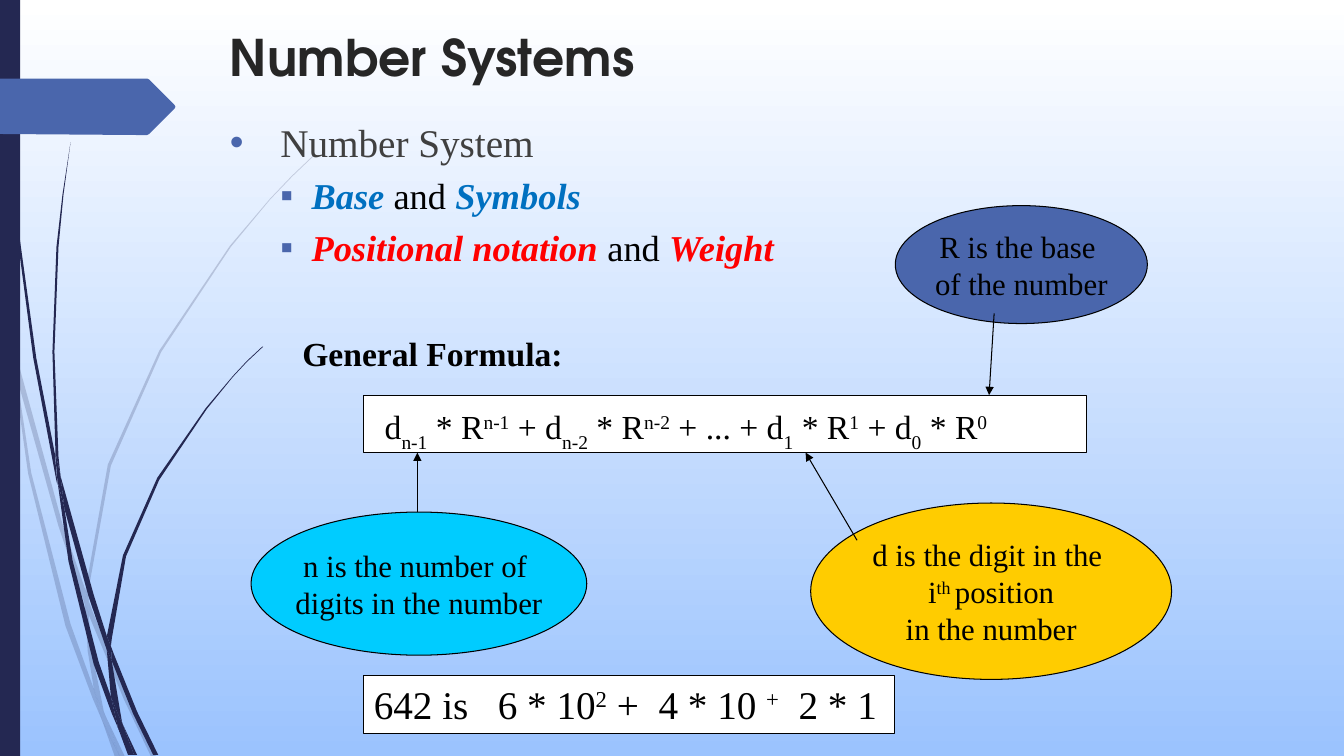
from dataclasses import dataclass
from typing import NamedTuple

from lxml.etree import SubElement as Sub
from pptx import Presentation as Deck
from pptx.dml.color import RGBColor as Rgb
from pptx.enum.shapes import MSO_CONNECTOR as Link, MSO_SHAPE as Kind
from pptx.enum.text import MSO_ANCHOR as Anchor, MSO_AUTO_SIZE as Fit, PP_ALIGN as Align
from pptx.oxml.ns import qn
from pptx.util import Inches, Pt


@dataclass(frozen=True)
class Theme:
    navy: str = "242852"
    blue: str = "4A66AC"
    sky: str = "9BC3FE"
    white: str = "FFFFFF"
    black: str = "000000"
    dark: str = "262626"
    gray: str = "404040"
    azure: str = "0070C0"
    red: str = "FF0000"
    cyan: str = "00CCFF"
    gold: str = "FFCC00"
    serif: str = "Times New Roman"
    sans: str = "TeX Gyre Adventor"
    plain: str = "Arial"
    head: int = 36
    large: int = 28
    mid: int = 26
    base: int = 24
    small: int = 22
    line: float = 0.75


class Bit(NamedTuple):
    text: str
    shift: int = 0
    color: str = ""
    font: str = ""
    size: int = 0


class Box(NamedTuple):
    kind: Kind
    area: tuple
    fill: str
    size: int
    rows: list


class Point(NamedTuple):
    mark: str
    level: int
    left: float
    hang: float
    gap: int
    size: int
    color: str
    bits: list


class Arrow(NamedTuple):
    start: tuple
    end: tuple


T = Theme()
UP, DOWN = 30, -30

PALE = [
    [(.11, 3.5), (.09, 3.22), (0, 2.82), (0, 2.99), (.1, 3.44)],
    [(.58, 5.22), (.84, 5.99), (.85, 5.86), (.62, 5.2), (.14, 3.45), (.17, 3.76)],
    [(.92, 6.07), (.88, 5.96), (.88, 6.1), (1.23, 6.94), (1.5, 7.51), (1.55, 7.51), (1.27, 6.92)],
    [(1.19, 7.51), (1.24, 7.51), (1.05, 7.11)],
    [(.93, 6.83), (.7, 6.19), (.31, 4.69), (.17, 3.76), (.11, 3.5), (.28, 4.7), (.65, 6.21),
     (.92, 6.93), (1.01, 7.14), (.99, 7.07)],
    [(.84, 5.99), (.87, 6.46), (.93, 6.83), (.96, 6.92), (1.05, 7.11), (1.03, 7.06), (.91, 6.46),
     (.88, 6.1), (.88, 6.08)],
    [(.88, 5.84), (1.1, 4.62), (1.6, 3.49), (2.29, 2.45), (2.68, 1.98), (2.9, 1.75), (3.12, 1.54),
     (3.12, 1.53), (2.89, 1.75), (2.68, 1.97), (2.28, 2.44), (1.58, 3.48), (1.07, 4.61),
     (.85, 5.84), (.85, 5.86), (.88, 5.96)],
    [(1.01, 7.14), (1.14, 7.51), (1.19, 7.51)],
    [(.88, 6.08), (.88, 6.1), (.88, 5.96), (.85, 5.86), (.84, 5.99)],
    [(.96, 6.92), (.93, 6.83), (.99, 7.07), (1.01, 7.14), (1.19, 7.51), (1.05, 7.11)],
]
DEEP = [
    [(.07, 1.1), (.17, 2.33), (.33, 3.55), (.56, 4.77), (.57, 4.81), (.55, 4.57), (.55, 4.53),
     (.36, 3.55), (.19, 2.32), (.08, 1.09), (.05, .48), (.04, 0), (.03, 0), (.04, .48)],
    [(.88, 5.92), (1.06, 6.45), (1.06, 6.33), (1.06, 6.31), (.93, 5.9), (.6, 4.72), (.64, 5.05)],
    [(1.13, 6.49), (1.1, 6.41), (1.11, 6.56), (1.32, 7.08), (1.52, 7.49), (1.57, 7.49), (1.36, 7.06)],
    [(1.1, 6.91), (.98, 6.57), (.72, 5.56), (.64, 5.05), (.57, 4.77), (.68, 5.57), (.93, 6.59),
     (1.11, 7.08), (1.17, 7.22), (1.16, 7.17)],
    [(.6, 4.72), (.58, 4.53), (.54, 3.49), (.58, 2.45), (.63, 1.93), (.7, 1.41), (.62, 1.93),
     (.56, 2.45), (.52, 3.49), (.55, 4.49)],
    [(1.33, 7.49), (1.36, 7.49), (1.22, 7.19)],
    [(.57, 4.77), (.64, 5.05), (.6, 4.72), (.55, 4.49), (.55, 4.53)],
    [(1.11, 6.33), (1.25, 5.52), (1.58, 4.76), (2.05, 4.06), (2.31, 3.74), (2.45, 3.59),
     (2.61, 3.44), (2.6, 3.44), (2.45, 3.58), (2.31, 3.73), (2.04, 4.05), (1.56, 4.74),
     (1.22, 5.51), (1.06, 6.31), (1.1, 6.41)],
    [(1.17, 7.22), (1.27, 7.49), (1.31, 7.49)],
    [(1.06, 6.45), (1.1, 6.91), (1.16, 7.06), (1.22, 7.19), (1.21, 7.16), (1.11, 6.56), (1.09, 6.51)],
    [(1.06, 6.45), (1.09, 6.51), (1.11, 6.56), (1.1, 6.41), (1.06, 6.31), (1.06, 6.33)],
    [(1.16, 7.06), (1.1, 6.91), (1.16, 7.17), (1.17, 7.22), (1.3, 7.49), (1.33, 7.49), (1.22, 7.19)],
]
FLAG = [(1.73, 1.08), (1.48, 1.33), (1.46, 1.34), (1.36, 1.34), (0, 1.33), (0, .78), (1.36, .78),
        (1.46, .78), (1.48, .79), (1.73, 1.04), (1.74, 1.06)]

POINTS = [
    Point("•", 0, .5, -.5, 10, T.large, T.gray, [Bit("Number System")]),
    Point("▪", 1, .81, -.31, 6, T.mid, T.black,
          [Bit("Base", color=T.azure), Bit(" and "), Bit("Symbols", color=T.azure)]),
    Point("▪", 1, .81, -.31, 6, T.mid, T.black,
          [Bit("Positional notation ", color=T.red), Bit("and "), Bit("Weight", color=T.red)]),
]


def term(lead: str, power: str) -> list:
    return [Bit(lead + "d"), Bit(power, DOWN), Bit(" * R"), Bit(power, UP)]


FORM = [Bit(" ", font=T.plain, size=T.large), *term("", "n-1"), *term(" + ", "n-2"),
        *term(" + ... + ", "1"), *term(" + ", "0")]
SUM = [Bit("642 is   6 * 10"), Bit("2", UP), Bit(" +  4 * 10 "), Bit("+", UP), Bit("  2 * 1")]
BOXES = [
    Box(Kind.RECTANGLE, (3.61, 3.92, 7.17, .57), T.white, T.base, [FORM]),
    Box(Kind.RECTANGLE, (3.61, 6.7, 5.26, .58), T.white, T.large, [SUM]),
    Box(Kind.OVAL, (8.88, 2.04, 2.5, 1.17), T.blue, T.small,
        [[Bit("R is the base ")], [Bit("of the number")]]),
    Box(Kind.OVAL, (2.49, 5.08, 3.33, 1.42), T.cyan, T.small,
        [[Bit("n is the number of ")], [Bit("digits in the number")]]),
    Box(Kind.OVAL, (8.04, 4.99, 3.58, 1.75), T.gold, T.small,
        [[Bit("d is the digit in the ")], [Bit(" i"), Bit("th ", UP), Bit("position ")],
         [Bit("in the number")]]),
]
ARROWS = [Arrow((4.14, 5.08), (4.14, 4.49)), Arrow((8.5, 5.36), (7.99, 4.49)),
          Arrow((9.86, 3.11), (9.81, 3.92))]


def style(font, face: str, size: int, color: str) -> None:
    font.name, font.size, font.color.rgb = face, Pt(size), Rgb.from_string(color)


def write(para, bits: list, size: int, color: str = T.black) -> None:
    style(para.font, T.serif, size, color)
    for bit in bits:
        run = para.add_run()
        run.text = bit.text
        if bit.shift:
            run._r.get_or_add_rPr().set("baseline", str(bit.shift * 1000))
        if bit.color:
            run.font.color.rgb = Rgb.from_string(bit.color)
            run.font.bold = run.font.italic = True
        if bit.font:
            run.font.name, run.font.size = bit.font, Pt(bit.size)


def paint(shape, color: str, alpha: int = 100) -> None:
    shape.shadow.inherit = False
    shape.fill.solid()
    shape.fill.fore_color.rgb = Rgb.from_string(color)
    shape.line.fill.background()
    if alpha < 100:
        tint = shape.element.spPr.find(".//" + qn("a:srgbClr"))
        Sub(tint, qn("a:alpha"), val=str(alpha * 1000))


def trace(shapes, dots: list, color: str, alpha: int = 100) -> None:
    first, *rest = [(Inches(x), Inches(y)) for x, y in dots]
    pen = shapes.build_freeform(*first)
    pen.add_line_segments(rest, close=True)
    paint(pen.convert_to_shape(), color, alpha)


def place(shape, area: tuple) -> None:
    shape.left, shape.top, shape.width, shape.height = map(Inches, area)
    shape.element.getparent().append(shape.element)


def list_point(para, item: Point) -> None:
    props = para._p.get_or_add_pPr()
    props.set("marL", str(Inches(item.left)))
    props.set("indent", str(Inches(item.hang)))
    Sub(Sub(props, qn("a:buClr")), qn("a:srgbClr"), val=T.blue)
    Sub(props, qn("a:buFont"), typeface=T.plain)
    Sub(props, qn("a:buChar"), char=item.mark)
    para.level, para.space_before = item.level, Pt(item.gap)
    write(para, item.bits, item.size, item.color)


def draw_box(shapes, box: Box) -> None:
    shape = shapes.add_shape(box.kind, *map(Inches, box.area))
    paint(shape, box.fill)
    shape.line.color.rgb, shape.line.width = Rgb.from_string(T.black), Pt(T.line)
    oval, frame = box.kind == Kind.OVAL, shape.text_frame
    frame.word_wrap = not oval
    frame.auto_size = Fit.NONE if oval else Fit.SHAPE_TO_FIT_TEXT
    frame.vertical_anchor = Anchor.MIDDLE if oval else Anchor.TOP
    for i, bits in enumerate(box.rows):
        para = frame.add_paragraph() if i else frame.paragraphs[0]
        para.alignment = Align.CENTER if oval else Align.LEFT
        write(para, bits, box.size)


def draw_arrow(shapes, arrow: Arrow) -> None:
    link = shapes.add_connector(Link.STRAIGHT, *map(Inches, arrow.start + arrow.end))
    link.line.color.rgb, link.line.width = Rgb.from_string(T.black), Pt(T.line)
    props = link.element.spPr
    Sub(props.find(qn("a:ln")), qn("a:tailEnd"), type="triangle")
    Sub(props, qn("a:effectLst"))


def main() -> None:
    deck = Deck()
    deck.slide_width, deck.slide_height = Inches(13.33), Inches(7.5)
    slide = deck.slides.add_slide(deck.slide_layouts[1])
    shapes, back = slide.shapes, slide.background.fill
    back.gradient()
    back.gradient_angle = 270
    for stop, color in zip(back.gradient_stops, (T.white, T.sky)):
        stop.color.rgb = Rgb.from_string(color)
    for dots in PALE:
        trace(shapes, dots, T.navy, 20)
    for dots in DEEP:
        trace(shapes, dots, T.navy)
    paint(shapes.add_shape(Kind.RECTANGLE, 0, 0, Inches(.2), Inches(7.5)), T.navy)
    trace(shapes, FLAG, T.blue)

    title, body = shapes.title, slide.placeholders[1]
    place(title, (2.18, 0, 9.75, 1.12))
    title.text_frame.text = "Number Systems"
    title.text_frame.vertical_anchor = Anchor.MIDDLE
    head = title.text_frame.paragraphs[0]
    head.alignment, head.font.bold = Align.LEFT, True
    style(head.font, T.sans, T.head, T.dark)
    place(body, (2.18, 1.12, 10.35, 6.1))
    frame = body.text_frame
    frame.auto_size = Fit.NONE
    for i, item in enumerate(POINTS):
        list_point(frame.add_paragraph() if i else frame.paragraphs[0], item)

    label = shapes.add_textbox(*map(Inches, (2.9, 3.25, 8.42, .5))).text_frame
    label.word_wrap, label.auto_size = True, Fit.SHAPE_TO_FIT_TEXT
    label.paragraphs[0].font.bold = True
    write(label.paragraphs[0], [Bit("General Formula:")], T.base)
    for box in BOXES:
        draw_box(shapes, box)
    for arrow in ARROWS:
        draw_arrow(shapes, arrow)
    deck.save("out.pptx")


if __name__ == "__main__":
    main()
